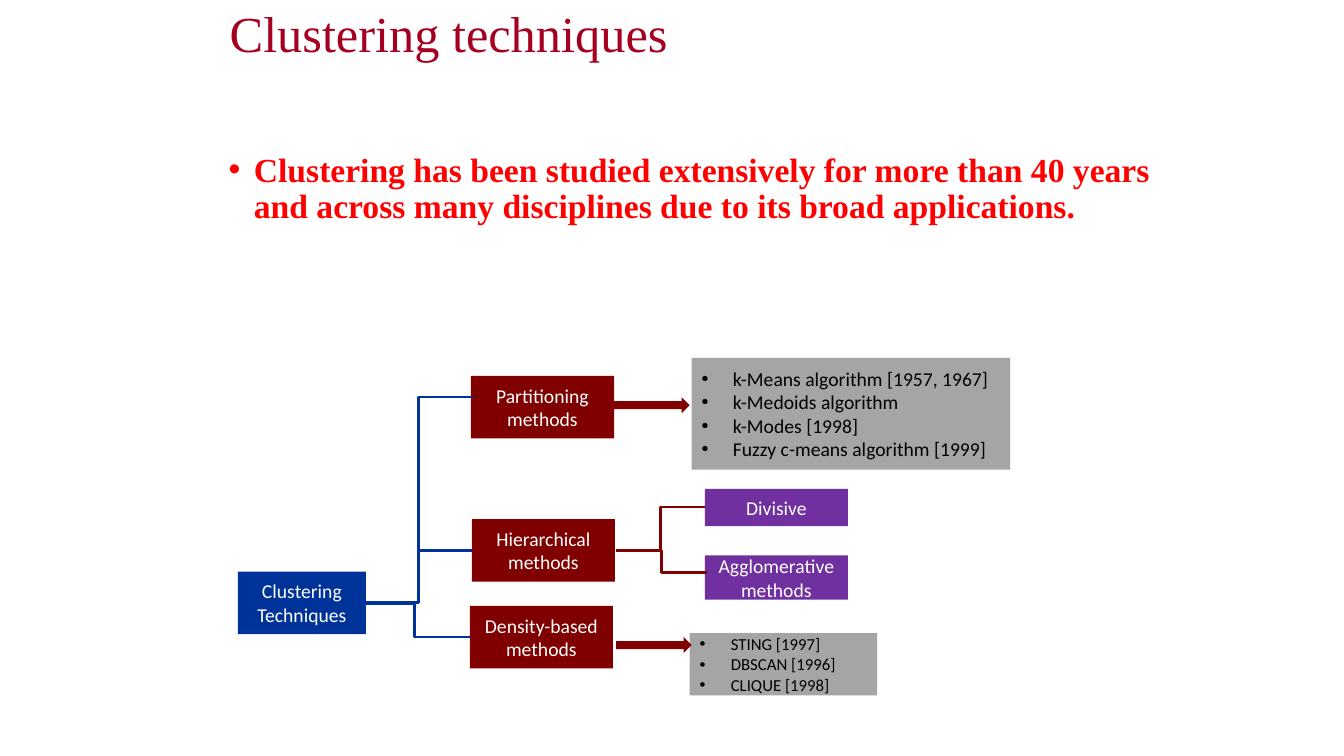
from lxml import etree
from pptx import Presentation, util as u
from pptx.dml.color import RGBColor
from pptx.enum import shapes, text
from pptx.oxml.ns import qn

CELL = u.Inches(0.1)
NAVY, MAROON, PURPLE, GREY = "003399", "800000", "7030A0", "A5A5A5"

deck = Presentation()
deck.slide_width, deck.slide_height = u.Inches(13.33), u.Inches(7.5)
slide = deck.slides.add_slide(deck.slide_layouts[6])


def paint(fill, colour):
    fill.solid()
    fill.fore_color.rgb = RGBColor.from_string(colour)


def write(box, lines, size, face, colour, indent=0, spacing=1.0, bold=False,
          align=text.PP_ALIGN.LEFT, anchor=text.MSO_ANCHOR.MIDDLE):
    frame = box.text_frame
    frame.word_wrap = True
    frame.vertical_anchor = anchor
    frame.text = "\n".join(lines)
    for paragraph in frame.paragraphs:
        if indent:
            properties = paragraph._p.get_or_add_pPr()
            properties.set("marL", str(int(indent * CELL)))
            properties.set("indent", str(-int(indent * CELL)))
            etree.SubElement(properties, qn("a:buFont"), typeface="Arial")
            etree.SubElement(properties, qn("a:buChar"), char="•")
        paragraph.alignment = align
        paragraph.line_spacing = spacing
        paragraph.font.size = u.Pt(size)
        paragraph.font.name = face
        paragraph.font.bold = bold
        paint(paragraph.font.fill, colour)


title = slide.shapes.add_textbox(*[int(n * CELL) for n in (21.8, -2.7, 90, 12.5)])
write(title, ["Clustering techniques"], 36, "Times New Roman", "A50021", spacing=0.9)

statement = slide.shapes.add_textbox(*[int(n * CELL) for n in (21.7, 14.7, 95, 49.5)])
write(statement, ["Clustering has been studied extensively for more than 40 years "
                  "and across many disciplines due to its broad applications."],
      24, "Times New Roman", "FF0000", indent=2.5, spacing=0.9, bold=True,
      anchor=text.MSO_ANCHOR.TOP)

methods = {}
for label, left, top, width, height, colour in [
    ("Clustering Techniques", 23.6, 56.7, 12.7, 6.2, NAVY),
    ("Partitioning methods", 46.7, 37.3, 14.2, 6.2, MAROON),
    ("Hierarchical methods", 46.8, 51.5, 14.2, 6.2, MAROON),
    ("Density-based methods", 46.6, 60.1, 14.2, 6.2, MAROON),
    ("Divisive", 69.9, 48.5, 14.2, 3.7, PURPLE),
    ("Agglomerative methods", 69.9, 55.1, 14.2, 4.4, PURPLE),
]:
    box = slide.shapes.add_shape(shapes.MSO_SHAPE.RECTANGLE,
                                 *[int(n * CELL) for n in (left, top, width, height)])
    box.shadow.inherit = False
    paint(box.fill, colour)
    box.line.fill.background()
    write(box, [label], 14, "Calibri", "FFFFFF", align=text.PP_ALIGN.CENTER)
    methods[label] = box

for algorithms, size, left, top, width, height in [
    (["k-Means algorithm [1957, 1967]", "k-Medoids algorithm", "k-Modes [1998]",
      "Fuzzy c-means algorithm [1999]"], 14, 68.6, 35.5, 31.6, 11.1),
    (["STING [1997]", "DBSCAN [1996]", "CLIQUE [1998]"], 12, 68.4, 62.8, 18.6, 6.2),
]:
    examples = slide.shapes.add_shape(shapes.MSO_SHAPE.RECTANGLE,
                                      *[int(n * CELL) for n in (left, top, width, height)])
    examples.shadow.inherit = False
    paint(examples.fill, GREY)
    examples.line.fill.background()
    write(examples, algorithms, size, "Calibri", "000000", indent=3.1)

ELBOW, STRAIGHT = shapes.MSO_CONNECTOR.ELBOW, shapes.MSO_CONNECTOR.STRAIGHT
for kind, x1, y1, x2, y2, colour, bend, target in [
    (ELBOW, 36.2, 59.8, 46.9, 39.4, NAVY, 0.5, None),
    (STRAIGHT, 41.5, 54.6, 46.8, 54.6, NAVY, None, "Hierarchical methods"),
    (ELBOW, 36.2, 59.9, 41.3, 63.2, NAVY, 0.96, None),
    (STRAIGHT, 41.3, 63.2, 46.6, 63.2, NAVY, None, "Density-based methods"),
    (ELBOW, 61.1, 54.6, 69.9, 50.3, MAROON, 0.5, None),
    (ELBOW, 61.1, 54.6, 70.1, 56.8, MAROON, 0.5, None),
]:
    branch = slide.shapes.add_connector(kind, *[int(n * CELL) for n in (x1, y1, x2, y2)])
    paint(branch.line.fill, colour)
    branch.line.width = u.Pt(2)
    etree.SubElement(branch._element.spPr, qn("a:effectLst"))
    if target:
        branch.end_connect(methods[target], 1)
    if bend:
        guides = branch._element.spPr.find(".//" + qn("a:avLst"))
        etree.SubElement(guides, qn("a:gd"), name="adj1", fmla=f"val {int(bend * 100000)}")

for left, top in [(60.9, 39.4), (61.1, 63.2)]:
    arrow = slide.shapes.add_shape(shapes.MSO_SHAPE.RIGHT_ARROW,
                                   *[int(n * CELL) for n in (left, top, 7.5, 1.6)])
    arrow.shadow.inherit = False
    paint(arrow.fill, MAROON)
    arrow.line.fill.background()

deck.save("out.pptx")
